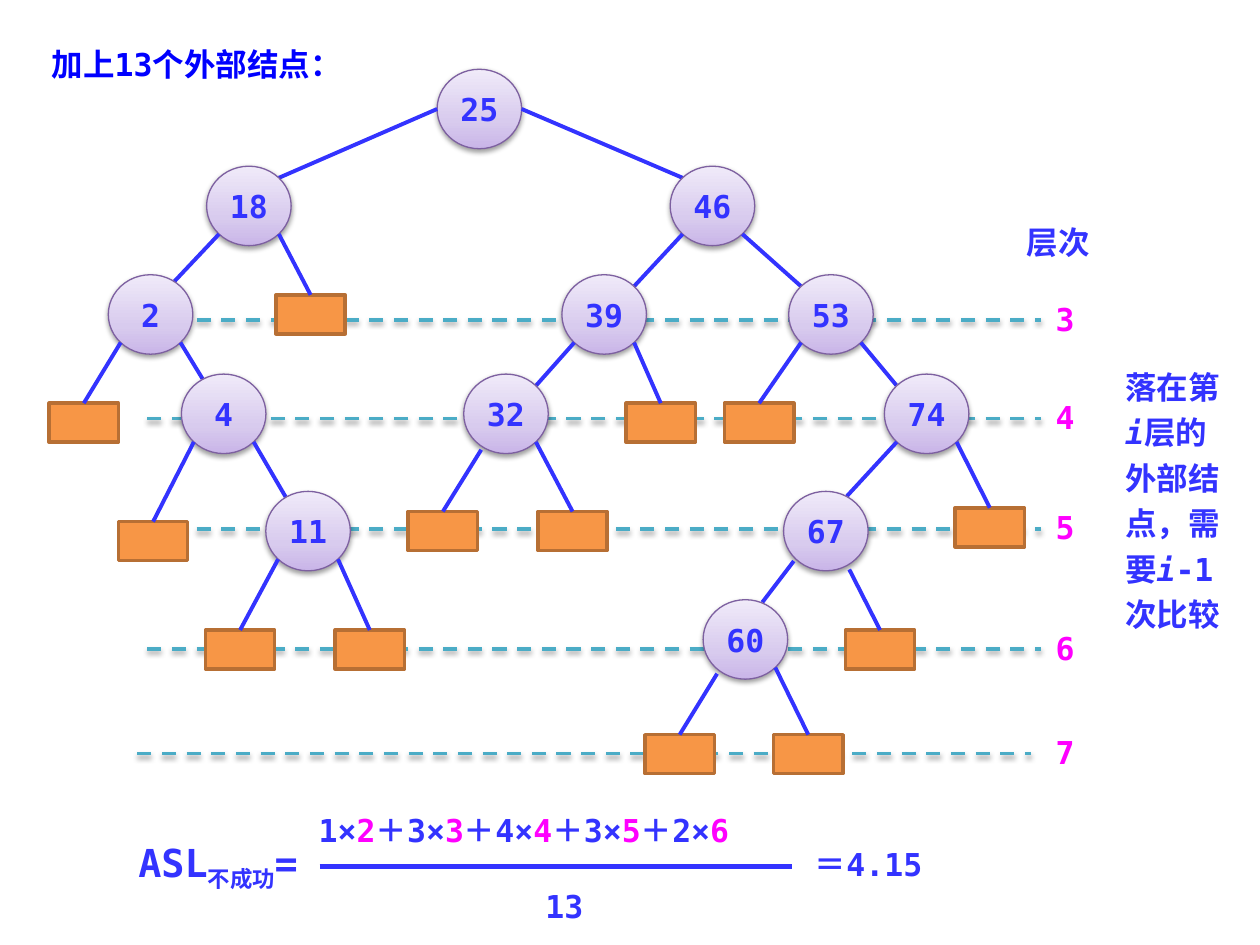
from copy import deepcopy
from dataclasses import dataclass

from lxml import etree
from pptx import Presentation
from pptx.dml.color import RGBColor
from pptx.enum import dml, shapes, text
from pptx.oxml import ns, parse_xml
from pptx.util import Pt


@dataclass(frozen=True)
class Theme:
    latin: str = "DejaVu Sans Mono"
    asian: str = "Noto Sans CJK SC"
    ink: str = "3333FF"
    heading: str = "0000FF"
    accent: str = "FF00FF"
    level: str = "4BACC6"
    box_fill: str = "F79646"
    box_line: str = "B76F34"
    node_line: str = "7D60A0"
    node_stops: tuple = ((0, "C9B5E8"), (0.35, "D8CBEE"), (1, "F0EAF9"))
    body: float = 18
    formula: float = 22


THEME = Theme()
NODE_W, NODE_H = 48.3, 45.4
BOX_W, BOX_H = 39.6, 22.3
DIAGONAL = 0.146  # share of the node's size from its frame to its outline at 45 degrees

# Key: left, top, left child, right child; a child is a key or a box's (left, top)
TREE = {
    25: (249.8, 39.6, 18, 46),
    18: (118.1, 95, 2, (157.7, 168.5)),
    46: (383, 95, 39, 53),
    2: (61.9, 157, (28.1, 230.4), 4),
    39: (321.1, 157, 32, (357.8, 230.4)),
    53: (450.7, 157, (414, 230.4), 74),
    4: (103.7, 213.8, (67.7, 298.1), 11),
    32: (265, 213.8, (233.3, 292.3), (307.4, 292.3)),
    74: (505.4, 213.8, 67, (545.8, 290.2)),
    11: (151.9, 280.8, (117.4, 360), (191.5, 360)),
    67: (447.8, 280.8, 60, (483.1, 360)),
    60: (401.8, 342.7, (368.6, 419.8), (442.1, 419.8)),
}
# Edge ends that do not sit on a diagonal point of the node
START_AT = {(32, 0): (275, 257), (67, 0): (453.6, 320.6),
            (67, 1): (485.3, 325.4), (60, 0): (409.8, 385)}
END_AT = {2: (97.9, 162.7), 4: (115.9, 216.7), 11: (164.2, 285.6),
          67: (483.8, 283.7), 60: (435.6, 344.2)}

# Level: label top, line height, line start
LEVELS = {3: (167.8, 182.9, 84.2), 4: (223.9, 239.2, 84.2), 5: (286.6, 302.4, 84.2),
          6: (355.7, 370.8, 84.2), 7: (415.4, 430.6, 78.5)}
LEVEL_W = 510.5


def rgb(value):
    return RGBColor.from_string(value)


def set_effect(shape, shadow):
    """Give a shape or line a soft drop shadow, or none."""
    inner = ('<a:outerShdw blurRad="39400" dist="20300" dir="5400000" rotWithShape="0">'
             '<a:srgbClr val="000000"><a:alpha val="38000"/></a:srgbClr>'
             '</a:outerShdw>') if shadow else ""
    shape._element.spPr.append(
        parse_xml(f'<a:effectLst {ns.nsdecls("a")}>{inner}</a:effectLst>'))


def write(frame, spans, size=THEME.body, color=THEME.ink, align=text.PP_ALIGN.LEFT):
    """Fill a text frame; a span is (text, options)."""
    para = frame.paragraphs[0]
    para.alignment = align
    font = para.font
    font.size, font.bold = Pt(size), True
    font.color.rgb = rgb(color)
    font.name = THEME.latin
    etree.SubElement(para._p.pPr.find(ns.qn("a:defRPr")), ns.qn("a:ea"),
                     typeface=THEME.asian)
    for words, options in spans:
        span = para.add_run()
        span.text = words
        if "color" in options:
            span.font.color.rgb = rgb(options["color"])
        if "italic" in options:
            span.font.italic = options["italic"]
        if "baseline" in options:
            span._r.get_or_add_rPr().set("baseline", options["baseline"])
    return para


def add_text(page, left, top, width, height, spans, **style):
    box = page.shapes.add_textbox(Pt(left), Pt(top), Pt(width), Pt(height))
    box.text_frame.word_wrap = True
    box.text_frame.auto_size = text.MSO_AUTO_SIZE.SHAPE_TO_FIT_TEXT
    return write(box.text_frame, spans, **style)


def add_line(page, start, end, color=THEME.ink, width=2.25, dashed=False):
    line = page.shapes.add_connector(
        shapes.MSO_CONNECTOR.STRAIGHT, *(Pt(value) for value in (*start, *end)))
    line.line.color.rgb, line.line.width = rgb(color), Pt(width)
    if dashed:
        line.line.dash_style = dml.MSO_LINE.DASH
    set_effect(line, shadow=dashed)


def add_node(page, key, left, top):
    node = page.shapes.add_shape(
        shapes.MSO_SHAPE.OVAL, Pt(left), Pt(top), Pt(NODE_W), Pt(NODE_H))
    node.fill.gradient()
    node.fill.gradient_angle = 90
    stops = node._element.spPr.find(".//" + ns.qn("a:gsLst"))
    stops.append(deepcopy(stops[0]))
    for stop, (position, color) in zip(node.fill.gradient_stops, THEME.node_stops):
        stop.position, stop.color.rgb = position, rgb(color)
    node.line.color.rgb, node.line.width = rgb(THEME.node_line), Pt(0.75)
    set_effect(node, shadow=True)
    frame = node.text_frame
    frame.margin_left = frame.margin_right = 0
    frame.vertical_anchor = text.MSO_ANCHOR.MIDDLE
    write(frame, [(str(key), {})], align=text.PP_ALIGN.CENTER)


def add_box(page, left, top):
    box = page.shapes.add_shape(
        shapes.MSO_SHAPE.RECTANGLE, Pt(left), Pt(top), Pt(BOX_W), Pt(BOX_H))
    box.shadow.inherit = False
    box.fill.solid()
    box.fill.fore_color.rgb = rgb(THEME.box_fill)
    box.line.color.rgb, box.line.width = rgb(THEME.box_line), Pt(2)


def node_point(key, right, bottom):
    """Diagonal point of a node's outline; sides are 0 or 1."""
    left, top = TREE[key][:2]
    across, down = (DIAGONAL + side * (1 - 2 * DIAGONAL) for side in (right, bottom))
    return left + NODE_W * across, top + NODE_H * down


def add_tree(page):
    for key, (left, top, *children) in TREE.items():
        add_node(page, key, left, top)
        for side, child in enumerate(children):
            start = START_AT.get((key, side), node_point(key, side, 1))
            if key == 25:  # the root's edges leave from its sides
                start = left + side * NODE_W, top + NODE_H / 2
            if isinstance(child, tuple):
                add_box(page, *child)
                end = child[0] + BOX_W / 2, child[1]
            else:
                end = END_AT.get(child, node_point(child, 1 - side, 0))
            add_line(page, start, end)


def add_levels(page):
    add_text(page, 568.1, 123.8, 73.4, 28.8, [("层次", {})], align=text.PP_ALIGN.CENTER)
    for level, (top, y, left) in LEVELS.items():
        add_text(page, 596.2, top, 33.8, 28.8, [(str(level), {})], color=THEME.accent)
        add_line(page, (left, y), (left + LEVEL_W, y), THEME.level, 2, dashed=True)


def add_formula(page):
    add_text(page, 72, 475.9, 123.8, 32.4,
             [("ASL", {}), ("不成功", {"baseline": "-25000"}), ("=", {})],
             size=THEME.formula)
    terms = []
    for count, compares in ((1, 2), (3, 3), (4, 4), (3, 5), (2, 6)):
        plus = "＋" if terms else ""
        terms += [(f"{plus}{count}×", {}), (str(compares), {"color": THEME.accent})]
    add_text(page, 175, 460.1, 286.6, 28.8, terms)
    add_line(page, (182.6, 495.2), (452.4, 495.2), width=3)
    add_text(page, 304.6, 503.3, 48.2, 28.1, [("13", {})])
    add_text(page, 458.6, 479.5, 81.4, 28.8, [("＝4.15", {})])


def add_title(page, words):
    title = page.shapes.title
    title.left, title.top, title.width, title.height = (
        Pt(value) for value in (22.3, 22.3, 185.8, 28.8))
    frame = title.text_frame
    frame.auto_size = text.MSO_AUTO_SIZE.NONE
    frame.vertical_anchor = text.MSO_ANCHOR.TOP
    write(frame, [(words, {})], color=THEME.heading)


def main():
    deck = Presentation()
    deck.slide_width, deck.slide_height = Pt(720), Pt(540)
    page = deck.slides.add_slide(deck.slide_layouts[5])

    # Heading, levels behind the tree, then the tree
    add_title(page, "加上13个外部结点：")
    add_levels(page)
    add_tree(page)

    # Average search length and the note beside the levels
    add_formula(page)
    note = add_text(page, 635.8, 202.3, 73.4, 164.9, [
        ("落在第", {}), ("i", {"italic": True}), ("层的外部结点，需要", {}),
        ("i", {"italic": True}), ("-1次比较", {})])
    note.line_spacing = Pt(26)

    deck.save("out.pptx")


if __name__ == "__main__":
    main()
